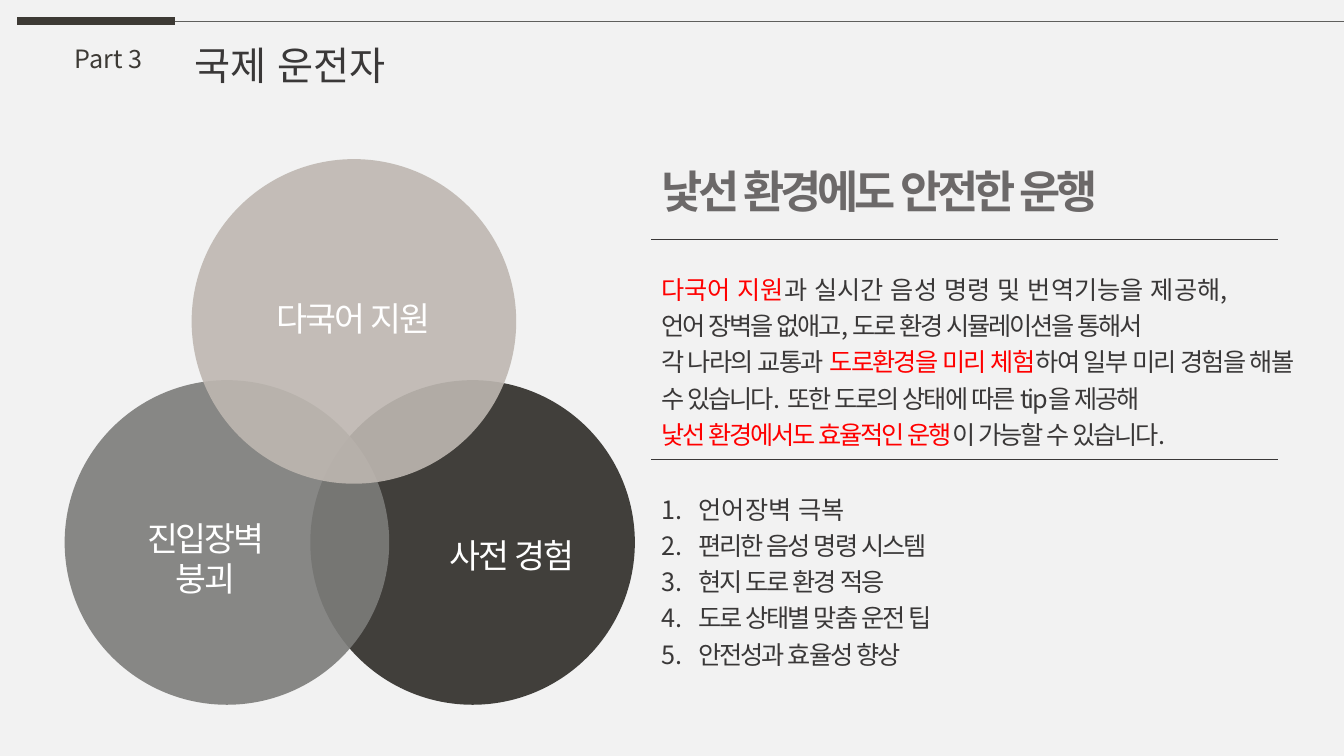
from lxml import etree
from pptx import Presentation
from pptx.dml.color import RGBColor
from pptx.enum import shapes, text
from pptx.oxml.ns import qn
from pptx import util as u

FONT = "Noto Sans CJK KR"
COLORS = {
    "background": "F2F2F2", "bar": "3D3A35", "rule": "5F5F5D", "ink": "3A3838",
    "heading": "6C6969", "accent": "FF0000", "white": "FFFFFF",
    "dark": "2E2C28", "gray": "7C7C7A", "beige": "BEB7B1",
}
LINES = [
    (0.43, 4.42, 0.53, "bar", 6),
    (4.42, 33.87, 0.53, "rule", 0.5),
    (16.41, 32.21, 6.02, "ink", 0.5),
    (16.41, 32.21, 11.58, "ink", 0.5),
]
DIAMETER = 8.18
CIRCLES = [(7.82, 9.58, "dark"), (1.63, 9.58, "gray"), (4.83, 4.01, "beige")]
LABEL = {"size": 24, "align": "CENTER"}
BODY = {"size": 18, "align": "JUSTIFY", "wrap": True, "line_spacing": 1.2}
TEXTS = [
    ((3.33, 12.93, 3.71, 2.31), LABEL,
     [[("진입장벽", "white", -1.5)], [("붕괴", "white", -1.5)]]),
    ((10.92, 13.36, 3.96, 2.31), LABEL, [[("사전 경험", "white", -1.5)]]),
    ((6.53, 7.37, 4.75, 1.27), LABEL, [[("다국어 지원", "white", -1.5)]]),
    ((1.63, 0.97, 2.34, 1.02), {"size": 18}, [[("Part 3", "bar", 0)]]),
    ((4.65, 0.91, 5.84, 1.45), {"size": 28}, [[("국제 운전자", "ink", 0)]]),
    ((16.41, 6.63, 16.41, 4.88), BODY, [
        [("다국어 지원", "accent", 0),
         ("과 실시간 음성 명령 및 번역기능을 제공해,", "ink", 0)],
        [("언어 장벽을 없애고, 도로 환경 시뮬레이션을 통해서 ", "ink", -1.5)],
        [("각 나라의 교통과 ", "ink", -1.5),
         ("도로환경을 미리 체험", "accent", -1.5),
         ("하여 일부 미리 경험을 해볼 수 있습니다.  또한 도로의 상태에 따른 tip을 제공해 ",
          "ink", -1.5)],
        [("낯선 환경에서도 효율적인 운행", "accent", -1.5),
         ("이 가능할 수 있습니다.", "ink", -1.5)],
    ]),
    ((16.41, 4.01, 12.7, 1.63), {"size": 32, "bold": True},
     [[("낯선 환경에도 안전한 운행", "heading", -3)]]),
    ((16.41, 12.17, 14.63, 5.69), {**BODY, "numbered": True}, [
        [("언어장벽 극복", "ink", 0)],
        [("편리한 음성 명령 시스템", "ink", -1.5)],
        [("현지 도로 환경 적응", "ink", -1.5)],
        [("도로 상태별 맞춤 운전 팁", "ink", -1.5)],
        [("안전성과 효율성 향상", "ink", -1.5)],
    ]),
]


def color(name):
    return RGBColor.from_string(COLORS[name])


def add_line(slide, left, right, top, name, width):
    line = slide.shapes.add_connector(
        shapes.MSO_CONNECTOR.STRAIGHT, u.Cm(left), u.Cm(top), u.Cm(right), u.Cm(top))
    line.line.color.rgb = color(name)
    line.line.width = u.Pt(width)
    etree.SubElement(line._element.spPr, qn("a:effectLst"))


def add_circle(slide, left, top, name):
    circle = slide.shapes.add_shape(
        shapes.MSO_SHAPE.OVAL, u.Cm(left), u.Cm(top), u.Cm(DIAMETER), u.Cm(DIAMETER))
    circle.shadow.inherit = False
    circle.line.fill.background()
    circle.fill.solid()
    circle.fill.fore_color.rgb = color(name)
    fill = circle._element.spPr.find(qn("a:solidFill"))
    etree.SubElement(fill[0], qn("a:alpha"), val="90000")


def add_run(paragraph, words, name, spacing, style):
    run = paragraph.add_run()
    run.text = words
    values = {"name": FONT, "size": u.Pt(style["size"]), "bold": style.get("bold", False)}
    for key, value in values.items():
        setattr(run.font, key, value)
    run.font.color.rgb = color(name)
    properties = run._r.get_or_add_rPr()
    properties.set("lang", "ko-KR")
    properties.set("spc", str(int(spacing * 100)))
    etree.SubElement(properties, qn("a:ea"), typeface=FONT)


def add_text(slide, box, style, paragraphs):
    shape = slide.shapes.add_textbox(*map(u.Cm, box))
    frame = shape.text_frame
    frame.word_wrap = style.get("wrap", False)
    frame.auto_size = text.MSO_AUTO_SIZE.SHAPE_TO_FIT_TEXT
    for index, runs in enumerate(paragraphs):
        paragraph = frame.add_paragraph() if index else frame.paragraphs[0]
        paragraph.alignment = text.PP_ALIGN[style.get("align", "LEFT")]
        paragraph.line_spacing = style.get("line_spacing")
        if style.get("numbered"):
            properties = paragraph._p.get_or_add_pPr()
            properties.set("marL", str(u.Cm(0.95)))
            properties.set("indent", str(-u.Cm(0.95)))
            etree.SubElement(properties, qn("a:buFont"), typeface="+mj-lt")
            etree.SubElement(properties, qn("a:buAutoNum"), type="arabicPeriod")
        for words, name, spacing in runs:
            add_run(paragraph, words, name, spacing, style)


def main():
    """Build the slide on international drivers."""
    presentation = Presentation()
    presentation.slide_width, presentation.slide_height = u.Cm(33.87), u.Cm(19.05)
    slide = presentation.slides.add_slide(presentation.slide_layouts[6])
    slide.background.fill.solid()
    slide.background.fill.fore_color.rgb = color("background")
    for line in LINES:
        add_line(slide, *line)
    for circle in CIRCLES:
        add_circle(slide, *circle)
    for box, style, paragraphs in TEXTS:
        add_text(slide, box, style, paragraphs)
    presentation.save("out.pptx")


if __name__ == "__main__":
    main()
